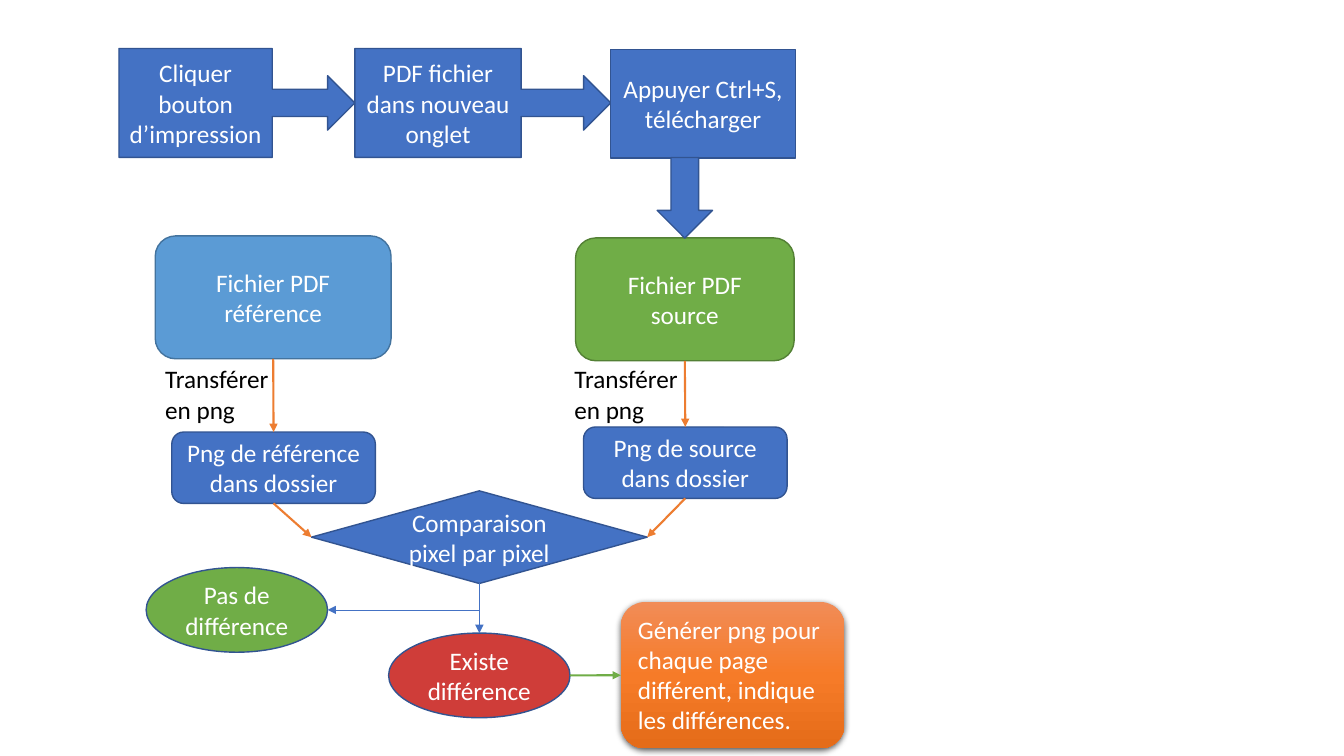
"""Builds a flow chart of the comparison of two PDF files."""
import pptx
import pptx.util
import pptx.dml.color
import pptx.enum.shapes
import pptx.enum.text
import pptx.oxml
import pptx.oxml.ns

Pt = pptx.util.Pt
SHAPE = pptx.enum.shapes.MSO_SHAPE
CONNECTOR = pptx.enum.shapes.MSO_CONNECTOR
ALIGN = pptx.enum.text.PP_ALIGN
ANCHOR = pptx.enum.text.MSO_ANCHOR
NAMESPACE = pptx.oxml.ns.nsdecls("a")
COLORS = {
    "blue": "4472C4", "navy": "325491", "sky": "5B9BD5", "steel": "43739E",
    "green": "70AD47", "forest": "538035", "red": "CF3D39", "orange": "ED7D31",
    "white": "FFFFFF", "black": "000000",
    "glow top": "F18C57", "glow middle": "F67B28", "glow bottom": "E56C19",
}
SIDES = {"top": (0.5, 0), "bottom": (0.5, 1), "left": (0, 0.5), "right": (1, 0.5)}


def color(name):
    return pptx.dml.color.RGBColor.from_string(COLORS[name])


def site(shape, side):
    across, down = SIDES[side]
    return int(shape.left + across * shape.width), int(shape.top + down * shape.height)


class Flow:
    font = "Calibri"
    size = 18

    def __init__(self, page):
        self.page = page

    def set_text(self, shape, text, ink, align, anchor):
        frame = shape.text_frame
        frame.word_wrap = True
        frame.vertical_anchor = anchor
        para = frame.paragraphs[0]
        para.text = text
        para.alignment = align
        para.font.name = self.font
        para.font.size = Pt(self.size)
        para.font.color.rgb = color(ink)

    def label(self, left, top, width, height, text):
        box = self.page.shapes.add_textbox(Pt(left), Pt(top), Pt(width), Pt(height))
        self.set_text(box, text, "black", ALIGN.LEFT, ANCHOR.TOP)

    def step(self, kind, left, top, width, height, text="", fill="blue", line="navy"):
        shape = self.page.shapes.add_shape(kind, Pt(left), Pt(top), Pt(width), Pt(height))
        shape.shadow.inherit = False
        shape.fill.solid()
        shape.fill.fore_color.rgb = color(fill)
        shape.line.color.rgb = color(line)
        shape.line.width = Pt(1)
        if text:
            self.set_text(shape, text, "white", ALIGN.CENTER, ANCHOR.MIDDLE)
        return shape

    def glow(self, left, top, width, height, text):
        shape = self.step(SHAPE.ROUNDED_RECTANGLE, left, top, width, height)
        self.set_text(shape, text, "white", ALIGN.LEFT, ANCHOR.TOP)
        shape.line.fill.background()
        stops = "".join(
            f'<a:gs pos="{place * 50000}"><a:srgbClr val="{COLORS["glow " + name]}"/></a:gs>'
            for place, name in enumerate(("top", "middle", "bottom")))
        properties = shape._element.spPr
        solid = properties.find(pptx.oxml.ns.qn("a:solidFill"))
        properties.replace(solid, pptx.oxml.parse_xml(
            f'<a:gradFill {NAMESPACE} rotWithShape="1"><a:gsLst>{stops}</a:gsLst>'
            '<a:lin ang="5400000" scaled="0"/></a:gradFill>'))
        properties.find(pptx.oxml.ns.qn("a:effectLst")).append(pptx.oxml.parse_xml(
            f'<a:outerShdw {NAMESPACE} blurRad="{Pt(4.5)}" dist="{Pt(1.5)}" dir="5400000" '
            f'algn="ctr" rotWithShape="0"><a:srgbClr val="{COLORS["black"]}">'
            '<a:alpha val="63000"/></a:srgbClr></a:outerShdw>'))
        return shape

    def finish(self, link, ink, weight):
        link.line.color.rgb = color(ink)
        link.line.width = Pt(weight)
        properties = link._element.spPr
        properties.find(pptx.oxml.ns.qn("a:ln")).append(
            pptx.oxml.parse_xml(f'<a:tailEnd {NAMESPACE} type="triangle"/>'))
        properties.append(pptx.oxml.parse_xml(f"<a:effectLst {NAMESPACE}/>"))

    def arrow(self, source, start, target, end, ink="orange", weight=1.5):
        link = self.page.shapes.add_connector(
            CONNECTOR.STRAIGHT, *site(source, start), *site(target, end))
        self.finish(link, ink, weight)

    def elbow(self, source, target, ink="blue", weight=0.5):
        start_x, start_y = site(source, "bottom")
        end_x, end_y = site(target, "right")
        drop, reach = end_y - start_y, start_x - end_x
        left = (start_x + end_x - drop) // 2
        top = (start_y + end_y - reach) // 2
        link = self.page.shapes.add_connector(
            CONNECTOR.ELBOW, left, top, left + drop, top + reach)
        properties = link._element.spPr
        properties.find(pptx.oxml.ns.qn("a:xfrm")).set("rot", "5400000")
        properties.find(pptx.oxml.ns.qn("a:prstGeom")).set("prst", "bentConnector2")
        self.finish(link, ink, weight)


deck = pptx.Presentation()
deck.slide_width, deck.slide_height = Pt(960), Pt(540)
flow = Flow(deck.slides.add_slide(deck.slide_layouts[6]))

reference = flow.step(SHAPE.ROUNDED_RECTANGLE, 110.9, 168.5, 168.5, 87.8,
                      "Fichier PDF référence", "sky", "steel")
source = flow.step(SHAPE.ROUNDED_RECTANGLE, 411.1, 169.9, 156.2, 87.8,
                   "Fichier PDF source", "green", "forest")

flow.step(SHAPE.RIGHT_ARROW_CALLOUT, 85, 34.6, 168.5, 77.8, "Cliquer bouton d’impression")
flow.step(SHAPE.RIGHT_ARROW_CALLOUT, 253.5, 34.6, 182.8, 77.8, "PDF fichier dans nouveau onglet")
flow.step(SHAPE.RECTANGLE, 436.3, 35.2, 131.8, 77.8, "Appuyer Ctrl+S, télécharger")
flow.step(SHAPE.DOWN_ARROW, 469.4, 112.5, 39.6, 57.6)

for left in (110.9, 403.2):
    flow.label(left, 256.3, 91.4, 51, "Transférer en png")

reference_png = flow.step(SHAPE.ROUNDED_RECTANGLE, 122.7, 308.6, 145.4, 51,
                          "Png de référence dans dossier")
source_png = flow.step(SHAPE.ROUNDED_RECTANGLE, 416.8, 305, 145.4, 51,
                       "Png de source dans dossier")
comparison = flow.step(SHAPE.DIAMOND, 222.5, 350.6, 239.8, 66.2, "Comparaison pixel par pixel")
same = flow.step(SHAPE.OVAL, 104.4, 405.4, 129.6, 60.5, "Pas de différence", "green")
different = flow.step(SHAPE.OVAL, 277.6, 452.2, 129.6, 60.5, "Existe différence", "red")
report = flow.glow(443.5, 430, 159.8, 104.6,
                   "Générer png pour chaque page différent, indique les différences.")

flow.arrow(reference, "bottom", reference_png, "top")
flow.arrow(source, "bottom", source_png, "top")
flow.arrow(reference_png, "bottom", comparison, "left")
flow.arrow(source_png, "bottom", comparison, "right")
flow.elbow(comparison, same)
flow.arrow(comparison, "bottom", different, "top", "blue", 0.5)
flow.arrow(different, "right", report, "left", "green")

deck.save("out.pptx")
